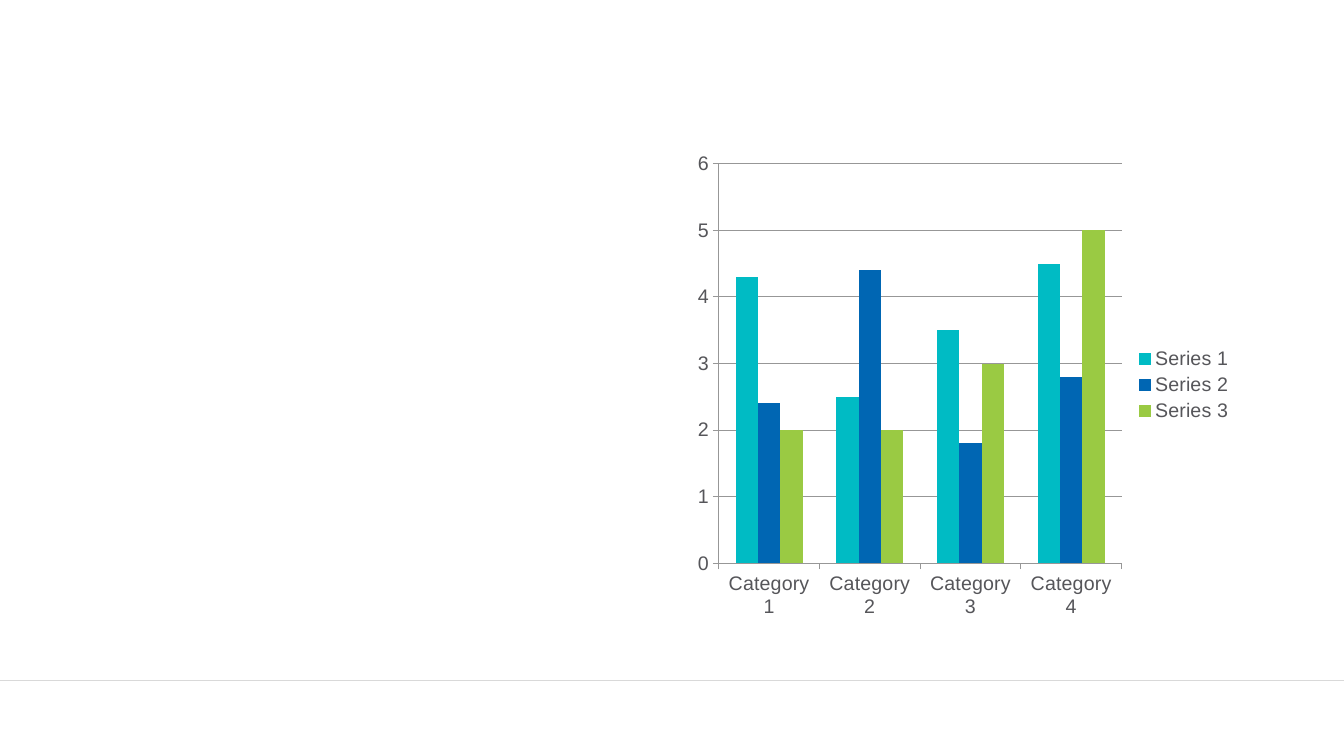
"""Build a slide with a clustered column chart above a footer rule."""
from dataclasses import dataclass

from lxml.etree import SubElement
from pptx import Presentation
from pptx.chart.chart import Chart
from pptx.chart.data import CategoryChartData
from pptx.dml.color import RGBColor
from pptx.dml.line import LineFormat
from pptx.enum.chart import XL_CHART_TYPE as ChartType
from pptx.enum.chart import XL_LEGEND_POSITION as LegendPosition
from pptx.enum.chart import XL_TICK_MARK as TickMark
from pptx.enum.shapes import MSO_CONNECTOR as Connector
from pptx.oxml.ns import qn
from pptx.slide import Slide
from pptx.util import Emu, Pt

PX = 9144
SLIDE_WIDTH, SLIDE_HEIGHT = 1333, 750
FOOTER_TOP = 675
CHART_BOX = (681, 142, 552, 480)

TEAL = RGBColor(0x00, 0xBB, 0xC4)
BLUE = RGBColor(0x00, 0x66, 0xB3)
GREEN = RGBColor(0x9A, 0xCA, 0x43)
TEXT_GRAY = RGBColor(0x56, 0x56, 0x5A)
AXIS_GRAY = RGBColor(0x97, 0x97, 0x97)
RULE_GRAY = RGBColor(0xD9, 0xD9, 0xD9)


@dataclass(frozen=True)
class ColumnSeries:
    """One coloured series of columns."""
    name: str
    values: tuple[float, ...]
    color: RGBColor


CATEGORIES = [f"Category {number}" for number in range(1, 5)]
SERIES = (
    ColumnSeries("Series 1", (4.3, 2.5, 3.5, 4.5), TEAL),
    ColumnSeries("Series 2", (2.4, 4.4, 1.8, 2.8), BLUE),
    ColumnSeries("Series 3", (2, 2, 3, 5), GREEN),
)


def px(length: int) -> Emu:
    """Turn px into EMU."""
    return Emu(length * PX)


def style_line(line: LineFormat, color: RGBColor, width: float) -> None:
    """Give a line its colour and its width in points."""
    line.color.rgb = color
    line.width = Pt(width)


def add_footer_rule(page: Slide) -> None:
    """Draw the thin rule across the foot of the page."""
    rule = page.shapes.add_connector(
        Connector.STRAIGHT, 0, px(FOOTER_TOP), px(SLIDE_WIDTH), px(FOOTER_TOP))
    style_line(rule.line, RULE_GRAY, 0.25)
    SubElement(rule._element.spPr, qn("a:effectLst"))


def style_axes(chart: Chart) -> None:
    """Format both axes and the gridlines."""
    for axis in (chart.category_axis, chart.value_axis):
        axis.major_tick_mark = TickMark.OUTSIDE
        axis.minor_tick_mark = TickMark.NONE
        style_line(axis.format.line, AXIS_GRAY, 0.75)
    scale = chart.value_axis
    scale.minimum_scale, scale.maximum_scale, scale.major_unit = 0, 6, 1
    scale.has_major_gridlines = True
    style_line(scale.major_gridlines.format.line, AXIS_GRAY, 0.75)


def add_column_chart(page: Slide) -> None:
    """Add the clustered columns with their legend."""
    data = CategoryChartData()
    data.categories = CATEGORIES
    for series in SERIES:
        data.add_series(series.name, series.values)
    chart = page.shapes.add_chart(
        ChartType.COLUMN_CLUSTERED, *map(px, CHART_BOX), data).chart
    chart.has_title = False
    chart.font.name = "Arial"
    chart.font.size = Pt(14)
    chart.font.color.rgb = TEXT_GRAY
    chart.has_legend = True
    chart.legend.position = LegendPosition.RIGHT
    chart.legend.include_in_layout = False
    style_axes(chart)

    plot = chart.plots[0]
    plot.gap_width = 150
    plot.overlap = 0
    plot.vary_by_categories = False
    for columns, series in zip(plot.series, SERIES):
        columns.format.fill.solid()
        columns.format.fill.fore_color.rgb = series.color


def main() -> None:
    """Build and save the deck."""
    deck = Presentation()
    deck.slide_width, deck.slide_height = px(SLIDE_WIDTH), px(SLIDE_HEIGHT)
    page = deck.slides.add_slide(deck.slide_layouts[6])
    add_footer_rule(page)
    add_column_chart(page)
    deck.save("out.pptx")


if __name__ == "__main__":
    main()
